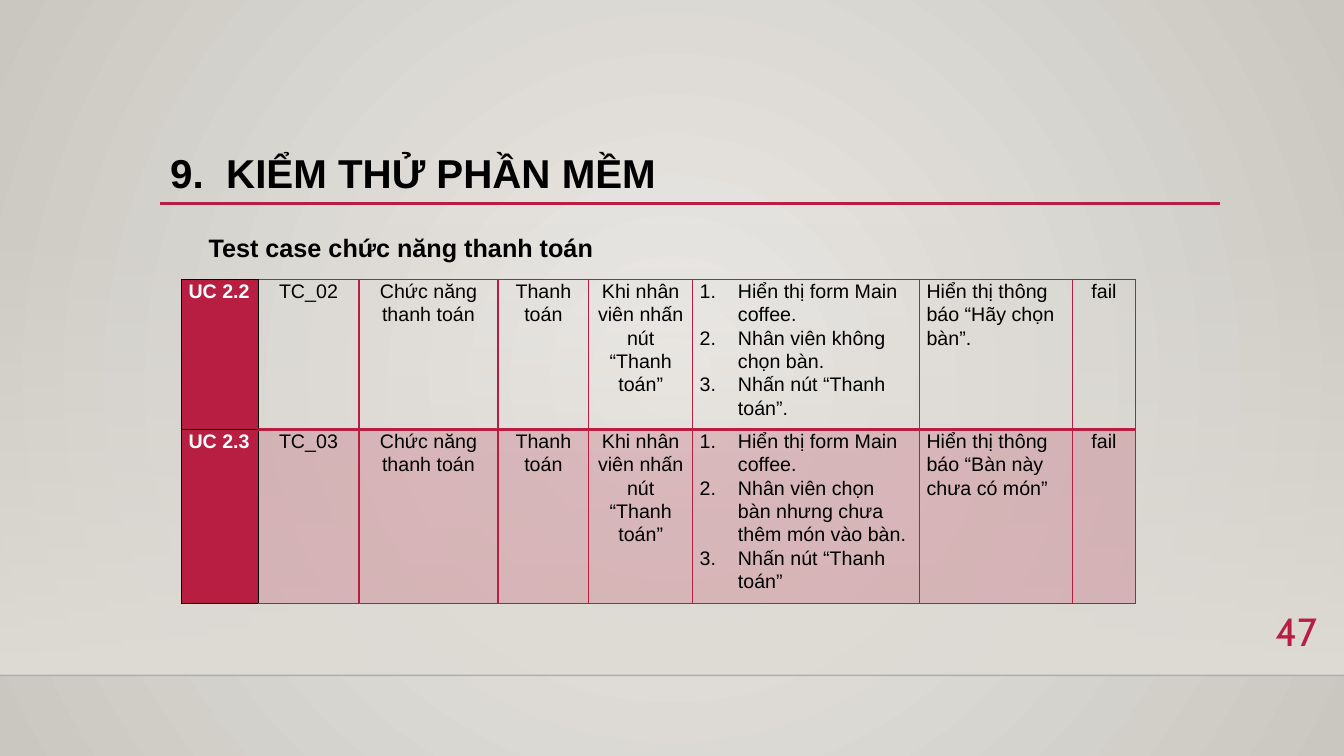
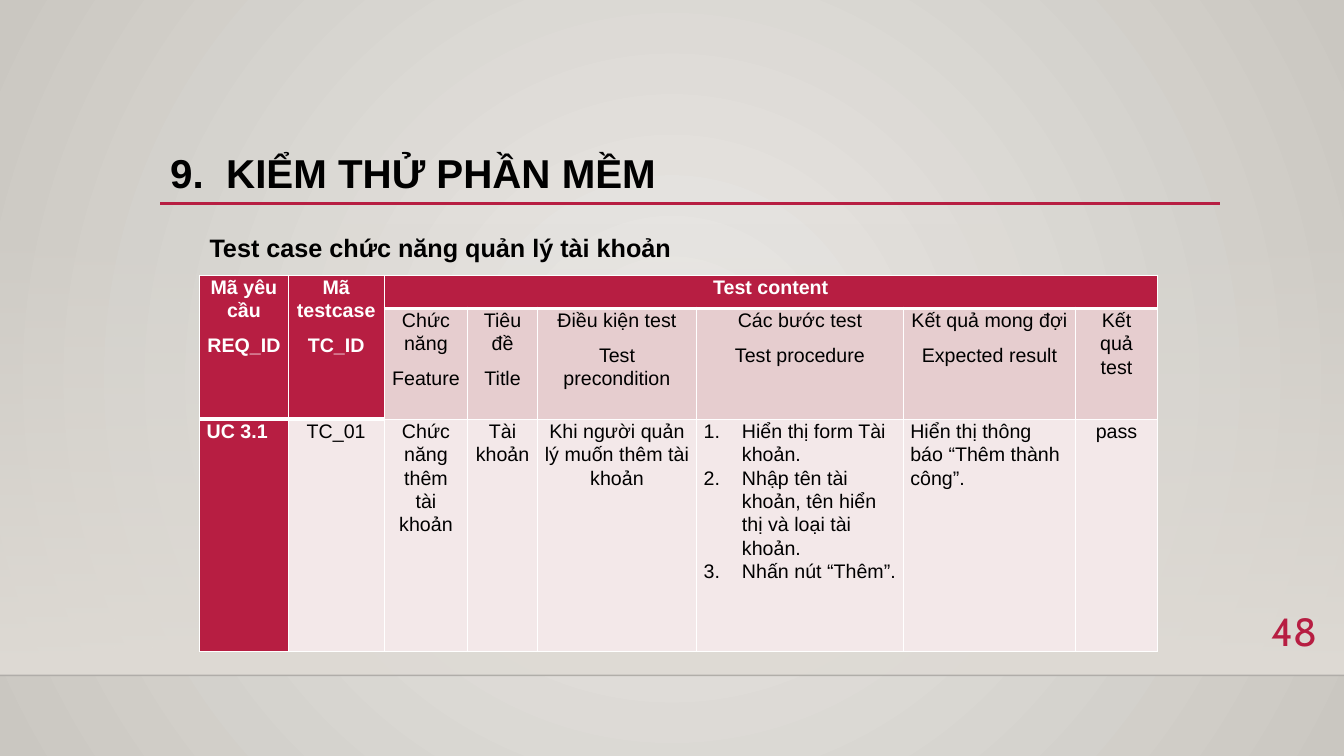
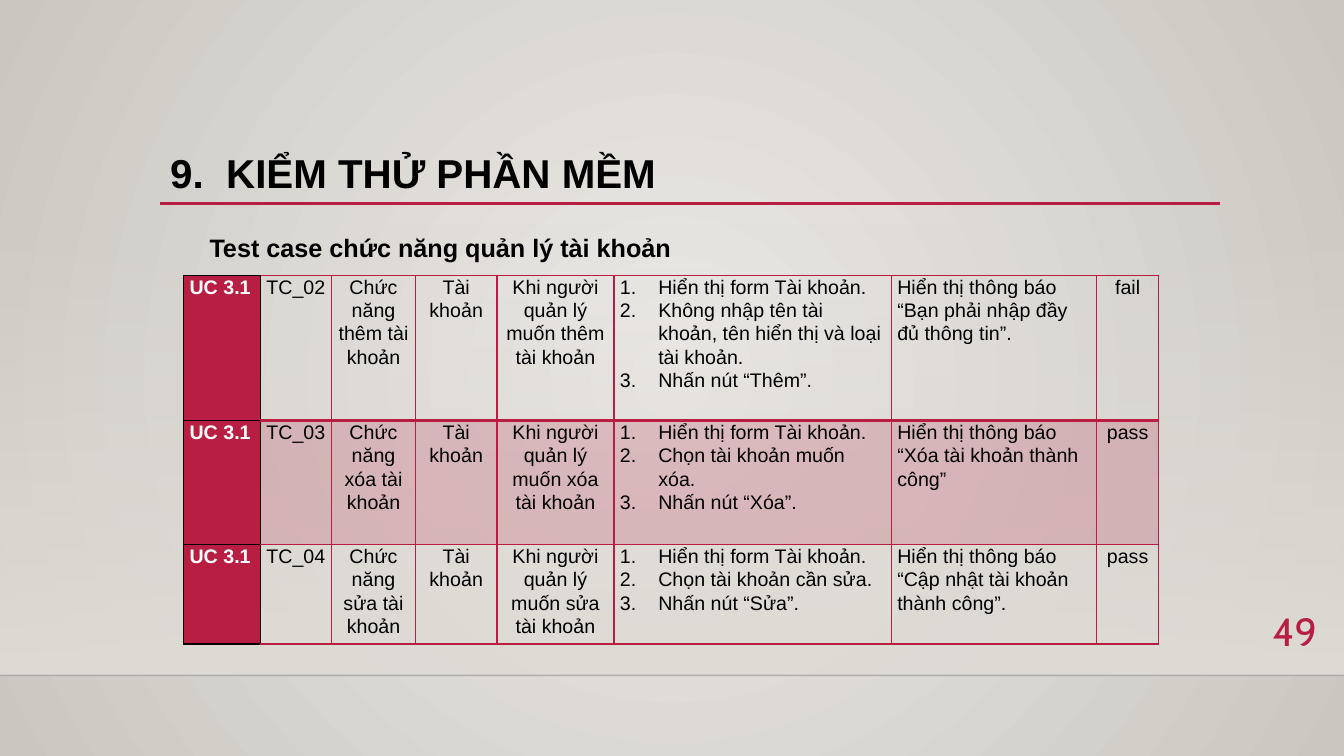
from pptx import Presentation
from pptx.dml.color import RGBColor
from pptx.enum.shapes import MSO_CONNECTOR, MSO_SHAPE
from pptx.enum.text import MSO_ANCHOR as Anchor, MSO_AUTO_SIZE as AutoSize, PP_ALIGN as Align
from pptx.oxml.ns import qn
from pptx.util import Inches, Pt
from lxml.etree import SubElement

CRIMSON, BLACK, WHITE = "B71E42", "000000", "FFFFFF"
BACK_LIGHT, BACK_DARK, FLOOR = "ECEAE7", "CAC7C1", "DFDBD5"
HEAD_PINK, BODY_PINK = "E6CDCF", "F3E8E9"
TINT = (CRIMSON, 20)
STEPS, EXPECTED = 5, 6  # columns set flush left
TITLE = "9.  KIỂM THỬ PHẦN MỀM"


def rgb(value):
    return RGBColor.from_string(value)


def add_xml(parent, tag, **attributes):
    return SubElement(parent, qn(tag), {key: str(value) for key, value in attributes.items()})


def set_opacity(color_element, percent):
    add_xml(color_element, "a:alpha", val=percent * 1000)


def set_gradient(fill, *colors):
    fill.gradient()
    for stop, color in zip(fill.gradient_stops, colors):
        stop.color.rgb = rgb(color)


def set_border(cell, edges):
    """Draw edges given as {side: (color, points)}; call before the fill is set."""
    properties = cell._tc.get_or_add_tcPr()
    for side in "LRTB":
        color, points = edges[side]
        line = add_xml(properties, f"a:ln{side}", w=Pt(points))
        add_xml(add_xml(line, "a:solidFill"), "a:srgbClr", val=color)


class Deck:
    font, title_size, subtitle_size, cell_size = "Arial", 28.8, 18, 14

    def __init__(self):
        self.prs = Presentation()
        self.prs.slide_width, self.prs.slide_height = Inches(13.33), Inches(7.5)
        self.slide = None

    def new_slide(self, subtitle, number, left=1.98, width=4.83):
        self.slide = self.prs.slides.add_slide(self.prs.slide_layouts[6])
        self.backdrop()
        self.rule(0, 13.33, 6.7, "000001", 1, opacity=20)
        self.rule(1.59, 12.1, 2.02, CRIMSON, 2.5)
        self.text(TITLE, 1.59, 1.45, 10.5, 0.58, size=self.title_size, bold=True, spacing=0.9)
        self.text(subtitle, left, 2.25, width, 0.4, size=self.subtitle_size, bold=True, wrap=False)
        self.text(str(number), 12.27, 5.98, 0.89, 0.55, size=28, font="Cabin",
                  color=CRIMSON, align=Align.RIGHT)

    def backdrop(self):
        """Radial background with a band that fades in towards the floor line."""
        set_gradient(self.slide.background.fill, BACK_LIGHT, BACK_DARK)
        radial = self.slide.element.find(".//" + qn("a:gradFill"))
        radial.remove(radial.find(qn("a:lin")))
        add_xml(add_xml(radial, "a:path", path="circle"), "a:fillToRect",
                l=50000, t=50000, r=50000, b=50000)

        band = self.slide.shapes.add_shape(
            MSO_SHAPE.RECTANGLE, 0, Inches(2.21), Inches(13.33), Inches(4.49))
        band.shadow.inherit = False
        band.line.fill.background()
        set_gradient(band.fill, FLOOR, FLOOR)
        band.fill.gradient_angle = 270
        set_opacity(band.element.find(".//" + qn("a:srgbClr")), 0)

    def rule(self, left, right, top, color, points, opacity=100):
        line = self.slide.shapes.add_connector(
            MSO_CONNECTOR.STRAIGHT, Inches(left), Inches(top), Inches(right), Inches(top))
        line.line.color.rgb, line.line.width = rgb(color), Pt(points)
        if opacity < 100:
            set_opacity(line.element.find(".//" + qn("a:srgbClr")), opacity)
        add_xml(line.element.spPr, "a:effectLst")

    def add_words(self, paragraph, text, size, color=BLACK, bold=False, font=None, **layout):
        run = paragraph.add_run()
        run.text = text
        run.font.color.rgb = rgb(color)
        for key, value in {"name": font or self.font, "size": Pt(size), "bold": bold}.items():
            setattr(run.font, key, value)
        for key, value in layout.items():
            setattr(paragraph, key, value)

    def text(self, text, left, top, width, height, wrap=True, spacing=1.0,
             align=Align.LEFT, **style):
        box = self.slide.shapes.add_textbox(*map(Inches, (left, top, width, height)))
        frame = box.text_frame
        frame.word_wrap, frame.vertical_anchor = wrap, Anchor.MIDDLE
        frame.auto_size = AutoSize.NONE if wrap else AutoSize.SHAPE_TO_FIT_TEXT
        self.add_words(frame.paragraphs[0], text, alignment=align, line_spacing=spacing, **style)

    def table(self, left, top, widths, heights, rows, fills, heavy, heavy_points=2,
              inset=0.07, grid=CRIMSON, key_grid=BLACK, headers=0, merges=()):
        """Fill a test table; heavy holds the (row, column) cells with a thick lower edge."""
        table = self.slide.shapes.add_table(
            len(heights), len(widths), Inches(left), Inches(top),
            Inches(sum(widths)), Inches(sum(heights))).table
        table.first_row = table.horz_banding = False
        for column, width in zip(table.columns, widths):
            column.width = Inches(width)
        for row, height in zip(table.rows, heights):
            row.height = Inches(height)
        for first, last in merges:
            table.cell(*first).merge(table.cell(*last))

        for r, texts in enumerate(rows):
            for c, text in enumerate(texts):
                cell = table.cell(r, c)
                color = key_grid if c == 0 else grid
                below = heavy_points if (r, c) in heavy else 1
                above = heavy_points if (r - 1, c) in heavy else 1
                set_border(cell, {"L": (key_grid if c < 2 else grid, 1), "R": (color, 1),
                                  "T": (color, above), "B": (color, below)})
                fill = CRIMSON if c == 0 else fills[r]
                self.fill_cell(cell, fill)
                for side, margin in dict(left=inset, right=inset, top=0, bottom=0).items():
                    setattr(cell, f"margin_{side}", Inches(margin))
                if text:
                    flush = r >= headers and c in (0, STEPS, EXPECTED)
                    strong = fill == CRIMSON or (r < headers and c < 2)
                    self.cell_text(cell, text, strong=strong,
                                   align=Align.LEFT if flush else Align.CENTER,
                                   numbered=r >= headers and c == STEPS)

    def fill_cell(self, cell, fill):
        if fill is None:
            cell.fill.background()
            return
        color, opacity = fill if isinstance(fill, tuple) else (fill, 100)
        cell.fill.solid()
        cell.fill.fore_color.rgb = rgb(color)
        if opacity < 100:
            properties = cell._tc.get_or_add_tcPr()
            set_opacity(properties.find(qn("a:solidFill")).find(qn("a:srgbClr")), opacity)

    def cell_text(self, cell, text, strong, align, numbered):
        frame = cell.text_frame
        for i, line in enumerate(text.split("\n")):
            paragraph = frame.add_paragraph() if i else frame.paragraphs[0]
            self.add_words(paragraph, line, self.cell_size, WHITE if strong else BLACK, strong,
                           alignment=align, line_spacing=1.06,
                           space_after=Pt(0 if numbered else 8))
            if numbered:
                properties = paragraph._p.get_or_add_pPr()
                properties.set("marL", str(Inches(0.38)))
                properties.set("indent", str(-Inches(0.38)))
                add_xml(properties, "a:buFont", typeface="+mj-lt")
                add_xml(properties, "a:buAutoNum", type="arabicPeriod")


def payment_case(number, steps, message):
    return (f"UC 2.{number}", f"TC_0{number}", "Chức năng thanh toán", "Thanh toán",
            "Khi nhân viên nhấn nút “Thanh toán”", "Hiển thị form Main coffee.\n" + steps,
            "Hiển thị thông báo " + message, "fail")


def account_case(number, action, steps, message, result):
    return ("UC 3.1", f"TC_0{number}", f"Chức năng {action} tài khoản", "Tài khoản",
            f"Khi người quản lý muốn {action} tài khoản", "Hiển thị form Tài khoản.\n" + steps,
            "Hiển thị thông báo " + message, result)


def main():
    deck = Deck()
    account_title = "Test case chức năng quản lý tài khoản"
    first_row = {(0, c) for c in range(1, 8)}

    deck.new_slide("Test case chức năng thanh toán", 47, left=1.97, width=4.05)
    deck.table(
        1.8, 2.77, [0.76, 1, 1.38, 0.9, 1.03, 2.25, 1.52, 0.62], [1.49, 1.73],
        [payment_case(2, "Nhân viên không chọn bàn.\nNhấn nút “Thanh toán”.",
                      "“Hãy chọn bàn”."),
         payment_case(3, "Nhân viên chọn bàn nhưng chưa thêm món vào bàn.\n"
                         "Nhấn nút “Thanh toán”", "“Bàn này chưa có món”")],
        fills=[None, TINT], heavy=first_row)

    deck.new_slide(account_title, 48)
    deck.table(
        1.98, 2.73, [0.88, 0.95, 0.83, 0.69, 1.58, 2.05, 1.71, 0.81], [0.33, 1.1, 2.3],
        [("Mã yêu cầu\nREQ_ID", "Mã testcase\nTC_ID", "Test content") + (None,) * 5,
         (None, None, "Chức năng\nFeature", "Tiêu đề\nTitle",
          "Điều kiện test\nTest precondition", "Các bước test\nTest procedure",
          "Kết quả mong đợi\nExpected result", "Kết quả test"),
         account_case(1, "thêm", "Nhập tên tài khoản, tên hiển thị và loại tài khoản.\n"
                                 "Nhấn nút “Thêm”.", "“Thêm thành công”.", "pass")],
        fills=[CRIMSON, HEAD_PINK, BODY_PINK], grid=WHITE, key_grid=WHITE, headers=2,
        heavy={(0, c) for c in range(8)} | {(1, 0), (1, 1)}, heavy_points=3,
        merges=[((0, 0), (1, 0)), ((0, 1), (1, 1)), ((0, 2), (0, 7))])

    deck.new_slide(account_title, 49)
    deck.table(
        1.82, 2.73, [0.76, 0.71, 0.83, 0.81, 1.16, 2.75, 2.04, 0.61], [1.44, 1.23, 0.99],
        [account_case(2, "thêm", "Không nhập tên tài khoản, tên hiển thị và loại tài khoản.\n"
                                 "Nhấn nút “Thêm”.", "“Bạn phải nhập đầy đủ thông tin”.", "fail"),
         account_case(3, "xóa", "Chọn tài khoản muốn xóa.\nNhấn nút “Xóa”.",
                      "“Xóa tài khoản thành công”", "pass"),
         account_case(4, "sửa", "Chọn tài khoản cần sửa.\nNhấn nút “Sửa”.",
                      "“Cập nhật tài khoản thành công”.", "pass")],
        fills=[None, TINT, None], heavy=first_row, inset=0.06)

    deck.prs.save("out.pptx")


if __name__ == "__main__":
    main()
